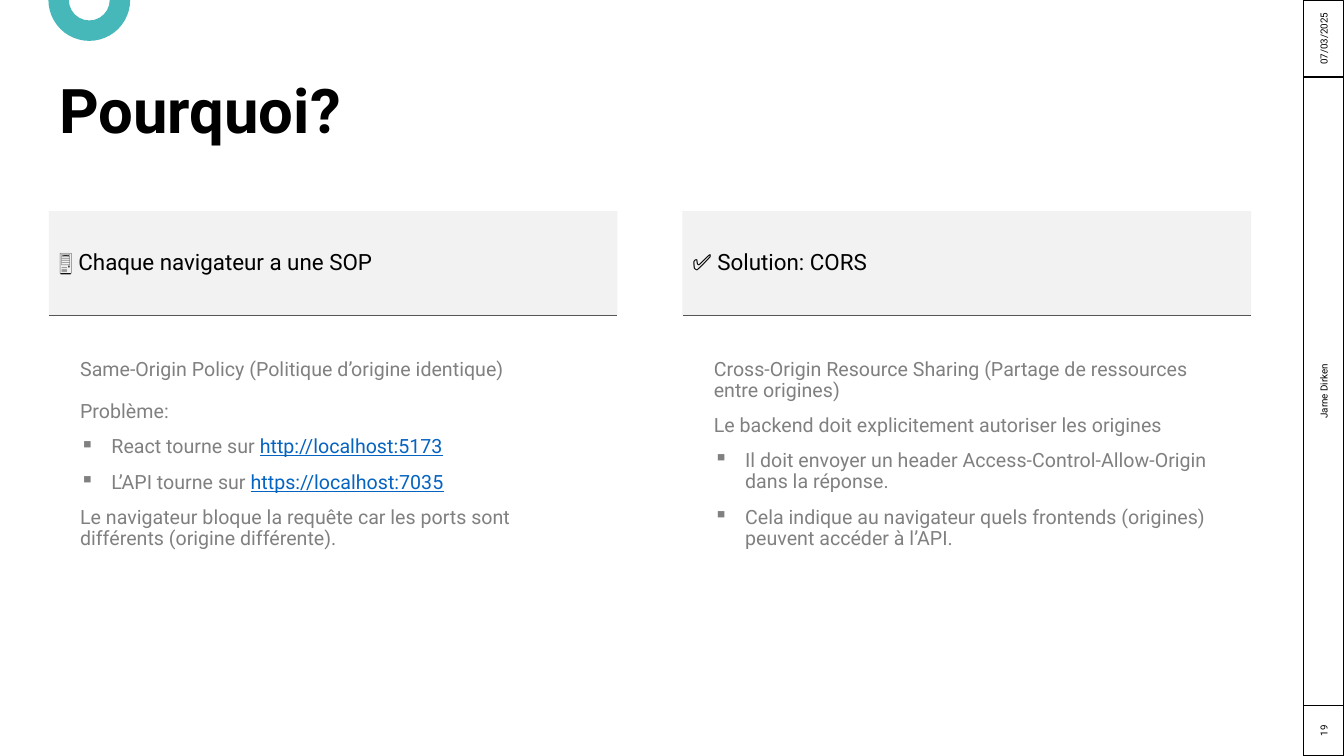
from lxml.etree import SubElement
from pptx import Presentation
from pptx.dml.color import RGBColor
from pptx.enum.shapes import MSO_CONNECTOR, MSO_SHAPE
from pptx.enum.text import MSO_ANCHOR, PP_ALIGN
from pptx.oxml.ns import qn
from pptx.util import Cm, Pt

BLACK = RGBColor(0x00, 0x00, 0x00)
GREY = RGBColor(0x80, 0x80, 0x80)
PALE = RGBColor(0xF2, 0xF2, 0xF2)
TEAL = RGBColor(0x47, 0xB8, 0xBA)
BLUE = RGBColor(0x05, 0x63, 0xC1)

WIDTH, HEIGHT = 33.87, 19.05
COLUMN = 14.33
HEAD_TOP, HEAD_END = 5.32, 7.95
STRIP = 1.02

COLUMNS = [
    (1.23, "🖥️ Chaque navigateur a une SOP", [
        ("Same-Origin Policy (Politique d’origine identique)", {}),
        ("Problème:", {"before": 15.4}),
        ("React tourne sur ", {"bullet": True, "link": "http://localhost:5173"}),
        ("L’API tourne sur ", {"bullet": True, "link": "https://localhost:7035"}),
        ("Le navigateur bloque la requête car les ports sont différents "
         "(origine différente).", {}),
    ]),
    (17.2, "✅ Solution: CORS", [
        ("Cross-Origin Resource Sharing (Partage de ressources entre origines)", {}),
        ("Le backend doit explicitement autoriser les origines", {}),
        ("Il doit envoyer un header Access-Control-Allow-Origin dans la réponse.",
         {"bullet": True}),
        ("Cela indique au navigateur quels frontends (origines) peuvent accéder "
         "à l’API.", {"bullet": True}),
    ]),
]
CELLS = [("07/03/2025", 0, 1.94), ("Jarne Dirken", 1.94, 17.78), ("19", 17.78, HEIGHT)]


def write(frame, text, size=14, color=GREY, bold=False, align=PP_ALIGN.LEFT,
          before=10, spacing=0.9, bullet=False, link=""):
    first = not frame.text
    par = frame.paragraphs[0] if first else frame.add_paragraph()
    par.alignment = align
    par.line_spacing = spacing
    par.space_before = Pt(0 if first else before)
    if bullet:
        props = par._p.get_or_add_pPr()
        props.set("marL", str(Cm(0.79)))
        props.set("indent", str(-Cm(0.79)))
        SubElement(props, qn("a:buChar")).set("char", "▪")
    for part, tint in ((text, color), (link, BLUE)):
        if part:
            run = par.add_run()
            run.text = part
            font = run.font
            font.name, font.size, font.bold = "Roboto", Pt(size), bold
            font.color.rgb = tint
            font.underline = part == link


class Deck:
    """Draws the elements of the slide in one style."""

    def __init__(self):
        self.file = Presentation()
        self.file.slide_width, self.file.slide_height = Cm(WIDTH), Cm(HEIGHT)
        self.slide = self.file.slides.add_slide(self.file.slide_layouts[6])

    def rule(self, left, top, width):
        line = self.slide.shapes.add_connector(
            MSO_CONNECTOR.STRAIGHT, Cm(left), Cm(top), Cm(left + width), Cm(top))
        line.line.color.rgb = BLACK
        line.line.width = Pt(0.5)
        SubElement(line._element.spPr, qn("a:effectLst"))

    def shape(self, kind, left, top, width, height, fill=None, edge=None, turn=0):
        shape = self.slide.shapes.add_shape(
            kind, Cm(left), Cm(top), Cm(width), Cm(height))
        shape.shadow.inherit = False
        shape.rotation = turn
        if fill is None:
            shape.fill.background()
        else:
            shape.fill.solid()
            shape.fill.fore_color.rgb = fill
        if edge is None:
            shape.line.fill.background()
        else:
            shape.line.color.rgb = edge
            shape.line.width = Pt(0.75)
        frame = shape.text_frame
        frame.word_wrap = True
        frame.vertical_anchor = MSO_ANCHOR.MIDDLE
        return frame

    def box(self, left, top, width, height, anchor=MSO_ANCHOR.TOP, inset=0.25):
        frame = self.slide.shapes.add_textbox(
            Cm(left), Cm(top), Cm(width), Cm(height)).text_frame
        frame.word_wrap = True
        frame.vertical_anchor = anchor
        frame.margin_left = frame.margin_right = Cm(inset)
        if anchor == MSO_ANCHOR.TOP:
            frame.margin_top = Cm(inset)
        return frame

    def column(self, left, head, body):
        for top in (HEAD_TOP, HEAD_END):
            self.rule(left, top, COLUMN)
        frame = self.shape(MSO_SHAPE.RECTANGLE, left, HEAD_TOP, COLUMN,
                           HEAD_END - HEAD_TOP, fill=PALE)
        write(frame, head, size=16, color=BLACK)
        frame = self.box(left, 8.26, COLUMN, 9.5, inset=0.79)
        for text, style in body:
            write(frame, text, **style)

    def cell(self, text, top, end):
        span = end - top
        left = WIDTH - STRIP / 2 - span / 2
        frame = self.shape(MSO_SHAPE.RECTANGLE, left, (top + end - STRIP) / 2,
                           span, STRIP, edge=BLACK, turn=270)
        write(frame, text, size=7, color=BLACK, align=PP_ALIGN.CENTER, spacing=1.0)


def main():
    deck = Deck()
    deck.shape(MSO_SHAPE.BLOCK_ARC, 1.22, -1.03, 2.06, 2.06, fill=TEAL, turn=180)
    title = deck.box(1.24, 1.02, 30.3, 3.68, anchor=MSO_ANCHOR.MIDDLE)
    write(title, "Pourquoi?", size=44, color=BLACK, bold=True)
    for column in COLUMNS:
        deck.column(*column)
    for cell in CELLS:
        deck.cell(*cell)
    deck.file.save("out.pptx")


if __name__ == "__main__":
    main()
